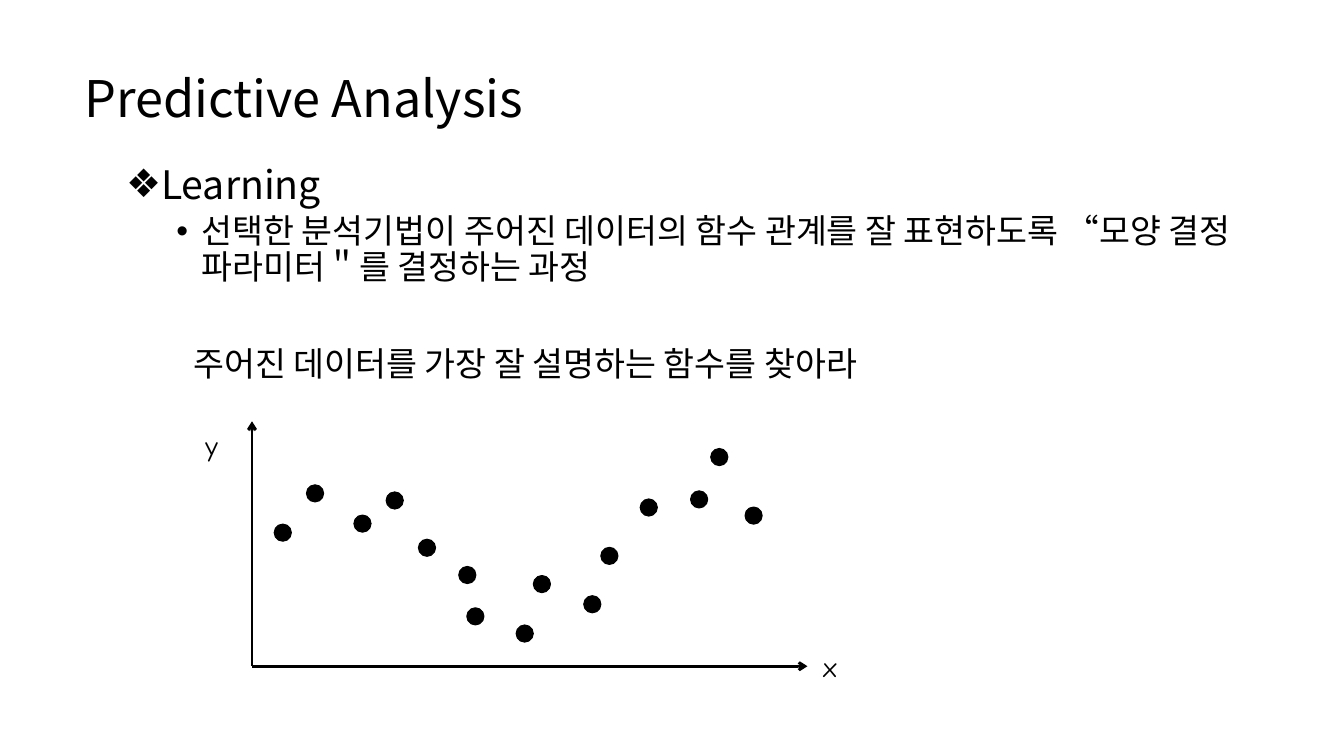
from lxml import etree
from pptx import Presentation
from pptx import util as u
from pptx.dml.color import RGBColor
from pptx.enum import shapes, text
from pptx.oxml import ns

BLACK = RGBColor(0, 0, 0)
WHITE = RGBColor(255, 255, 255)
SANS = "Noto Sans CJK KR"
HAND = "Comic Neue"
DOT_SIZE = (1.28, 2.27)
ORIGIN = (18.75, 88.13)
DOTS = [
    (20.4, 69.33), (22.8, 64.13), (26.33, 68.13), (28.73, 65.07), (31.13, 71.33),
    (34.13, 74.93), (34.73, 80.4), (38.4, 82.67), (39.68, 76.13), (43.43, 78.8),
    (44.7, 72.4), (47.63, 66), (51.38, 64.93), (52.88, 59.33), (55.43, 67.07),
]
BULLETS = [
    ("Learning", 0, "❖", 28, 0.25, 0),
    ("선택한 분석기법이 주어진 데이터의 함수 관계를 잘 표현하도록 “모양 결정 파라미터＂를 결정하는 과정",
     1, "•", 24, 0.75, 5),
]


class Canvas:
    def __init__(self, deck, columns=100, rows=100):
        self.page = deck.slides.add_slide(deck.slide_layouts[1])
        self.page.background.fill.solid()
        self.page.background.fill.fore_color.rgb = WHITE
        self.column = deck.slide_width / columns
        self.row = deck.slide_height / rows

    def spot(self, column, row):
        return u.Emu(round(column * self.column)), u.Emu(round(row * self.row))

    def place(self, box, corner, size):
        box.left, box.top = self.spot(*corner)
        box.width, box.height = self.spot(*size)

    def style(self, para, size, font):
        for span in para.runs:
            span.font.size = u.Pt(size)
            span.font.name = font
            span.font.color.rgb = BLACK
            east = etree.SubElement(span.font._element, ns.qn("a:ea"))
            east.set("typeface", SANS)

    def title(self, words, corner, size):
        box = self.page.shapes.title
        self.place(box, corner, size)
        frame = box.text_frame
        frame.text = words
        frame.auto_size = text.MSO_AUTO_SIZE.SHAPE_TO_FIT_TEXT
        frame.vertical_anchor = text.MSO_ANCHOR.TOP
        para = frame.paragraphs[0]
        para.alignment = text.PP_ALIGN.LEFT
        self.style(para, 36, SANS)

    def bullets(self, items, corner, size):
        box = self.page.placeholders[1]
        self.place(box, corner, size)
        frame = box.text_frame
        frame.text = "\n".join(item[0] for item in items)
        frame.auto_size = text.MSO_AUTO_SIZE.NONE
        for para, (_, level, mark, points, indent, before) in zip(frame.paragraphs, items):
            para.level = level
            para.line_spacing = 0.9
            para.space_before = u.Pt(before)
            props = para._p.get_or_add_pPr()
            props.set("marL", str(u.Inches(indent)))
            props.set("indent", str(u.Inches(-0.25)))
            etree.SubElement(props, ns.qn("a:buFont")).set("typeface", "Arial")
            etree.SubElement(props, ns.qn("a:buChar")).set("char", mark)
            self.style(para, points, SANS)

    def label(self, words, corner, size, points, font):
        box = self.page.shapes.add_textbox(*self.spot(*corner), *self.spot(*size))
        frame = box.text_frame
        frame.text = words
        frame.word_wrap = False
        frame.auto_size = text.MSO_AUTO_SIZE.SHAPE_TO_FIT_TEXT
        self.style(frame.paragraphs[0], points, font)

    def dot(self, corner):
        dot = self.page.shapes.add_shape(
            shapes.MSO_SHAPE.OVAL, *self.spot(*corner), *self.spot(*DOT_SIZE))
        dot.shadow.inherit = False
        dot.fill.solid()
        dot.fill.fore_color.rgb = BLACK
        dot.line.color.rgb = BLACK
        dot.line.width = u.Pt(0.75)

    def axis(self, start, end):
        axis = self.page.shapes.add_connector(
            shapes.MSO_CONNECTOR.STRAIGHT, *self.spot(*start), *self.spot(*end))
        axis.line.color.rgb = BLACK
        axis.line.width = u.Pt(2)
        head = etree.SubElement(axis.line._get_or_add_ln(), ns.qn("a:tailEnd"))
        head.set("type", "arrow")
        etree.SubElement(axis._element.spPr, ns.qn("a:effectLst"))


def main():
    deck = Presentation()
    deck.slide_width = u.Inches(13.33)
    deck.slide_height = u.Inches(7.5)
    canvas = Canvas(deck)
    canvas.title("Predictive Analysis", (5.55, 8.27), (55.73, 9.47))
    canvas.bullets(BULLETS, (8.63, 21.2), (85.28, 72))
    canvas.label("주어진 데이터를 가장 잘 설명하는 함수를 찾아라",
                 (13.65, 44.67), (57.38, 6.67), 24, "Arial")
    for corner in DOTS:
        canvas.dot(corner)
    canvas.axis(ORIGIN, (60.08, ORIGIN[1]))
    canvas.axis(ORIGIN, (ORIGIN[0], 55.73))
    canvas.label("x", (60.53, 85.2), (2.78, 5.87), 20, HAND)
    canvas.label("y", (14.55, 56), (2.63, 5.87), 20, HAND)
    deck.save("out.pptx")


if __name__ == "__main__":
    main()
